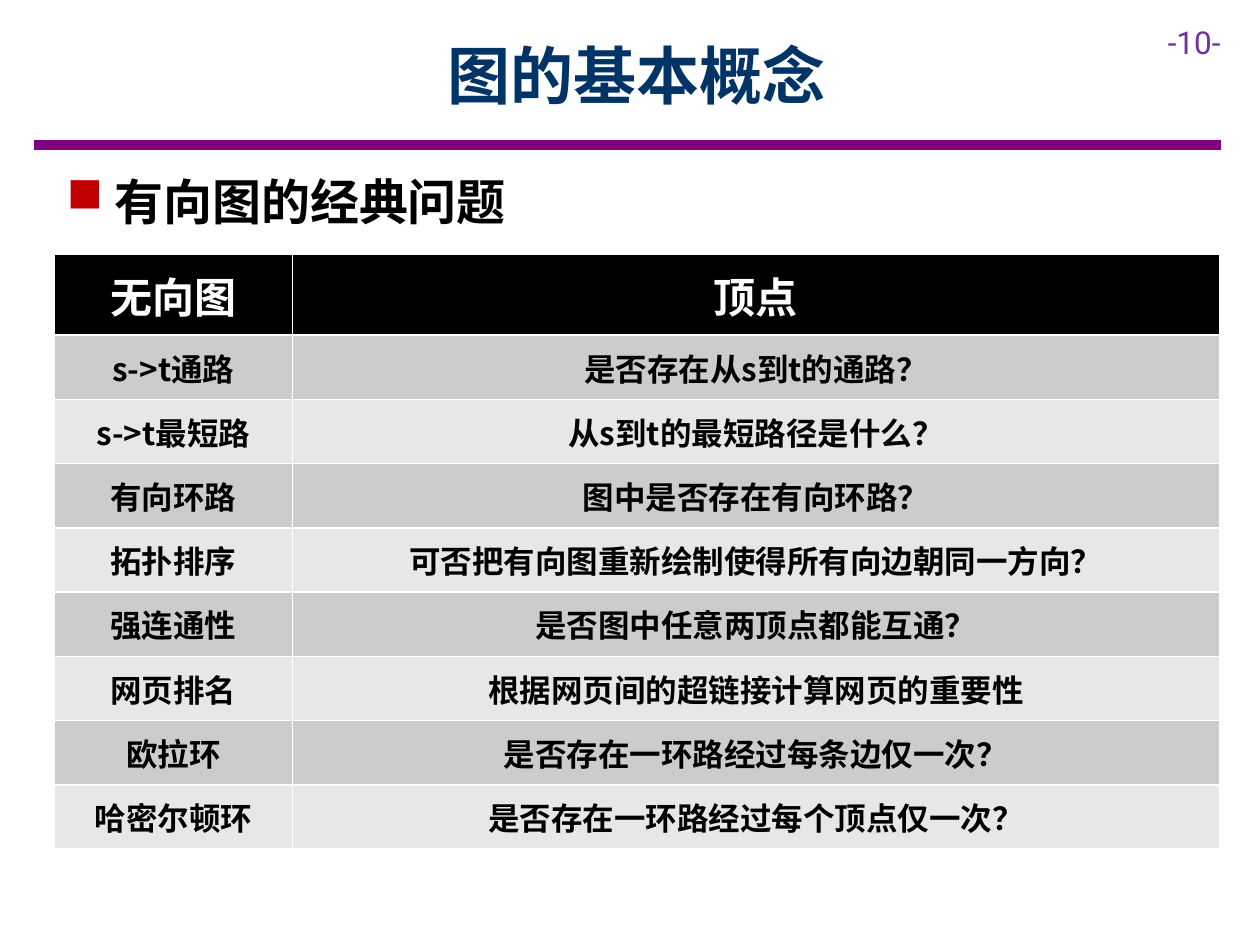
import pptx
import pptx.util
import pptx.dml.color
import pptx.enum.shapes
import pptx.enum.text
import pptx.oxml
import pptx.oxml.ns
from lxml import etree

Inches, Pt = pptx.util.Inches, pptx.util.Pt
RGB = pptx.dml.color.RGBColor
ALIGN = pptx.enum.text.PP_ALIGN
MIDDLE = pptx.enum.text.MSO_ANCHOR.MIDDLE
qn = pptx.oxml.ns.qn

NAVY = RGB(0x00, 0x33, 0x66)
PURPLE = RGB(0x80, 0x00, 0x80)
VIOLET = RGB(0x70, 0x30, 0xA0)
BLACK = RGB(0x00, 0x00, 0x00)
WHITE = RGB(0xFF, 0xFF, 0xFF)
BANDS = [RGB(0xCC, 0xCC, 0xCC), RGB(0xE7, 0xE7, 0xE7)]
CJK = "Noto Sans CJK SC"


def write(tf, text, size=18, color=BLACK, font=CJK, bold=True, align=ALIGN.CENTER):
    """Put one formatted paragraph in a text frame and return it."""
    p = tf.paragraphs[0]
    p.alignment = align
    r = p.add_run()
    r.text = text
    r.font.size, r.font.bold, r.font.name = Pt(size), bold, font
    r.font.color.rgb = color
    etree.SubElement(r.font._element, qn("a:ea")).set("typeface", font)
    return p


prs = pptx.Presentation()
prs.slide_width, prs.slide_height = Inches(10), Inches(7.5)
s = prs.slides.add_slide(prs.slide_layouts[5])

# Rule under the title
rule = s.shapes.add_connector(pptx.enum.shapes.MSO_CONNECTOR.STRAIGHT,
                              Inches(0.27), Inches(1.15), Inches(9.69), Inches(1.15))
rule.line.color.rgb = PURPLE
rule.line.width = Pt(6)
etree.SubElement(rule._element.spPr, qn("a:effectLst"))

# Page number
page = s.shapes.add_textbox(Inches(9.17), Inches(0.13), Inches(0.83), Inches(0.4))
page.text_frame.word_wrap = True
write(page.text_frame, "-10-", color=VIOLET, font="Roboto", bold=False, align=ALIGN.LEFT)

# Title
title = s.shapes.title
title.left, title.top = Inches(0.9), Inches(0.09)
title.width, title.height = Inches(8.31), Inches(1)
title.text_frame.vertical_anchor = MIDDLE
write(title.text_frame, "图的基本概念", size=36, color=NAVY)

# Bulleted heading
heading = s.shapes.add_textbox(Inches(0.43), Inches(1.31), Inches(5.67), Inches(0.57))
heading.text_frame.word_wrap = True
p = write(heading.text_frame, "有向图的经典问题", size=28, align=ALIGN.LEFT)
p.space_after = Pt(3)
pPr = p._p.get_or_add_pPr()
pPr.set("marL", str(Inches(0.38)))
pPr.set("indent", str(-Inches(0.38)))
bullet_color = etree.SubElement(pPr, qn("a:buClr"))
etree.SubElement(bullet_color, qn("a:srgbClr")).set("val", "C00000")
etree.SubElement(pPr, qn("a:buChar")).set("char", "■")

# Table of problems: dark header, two alternating bands
rows = [
    ("无向图", "顶点"),
    ("s->t通路", "是否存在从s到t的通路？"),
    ("s->t最短路", "从s到t的最短路径是什么？"),
    ("有向环路", "图中是否存在有向环路？"),
    ("拓扑排序", "可否把有向图重新绘制使得所有向边朝同一方向？"),
    ("强连通性", "是否图中任意两顶点都能互通？"),
    ("网页排名", "根据网页间的超链接计算网页的重要性"),
    ("欧拉环", "是否存在一环路经过每条边仅一次？"),
    ("哈密尔顿环", "是否存在一环路经过每个顶点仅一次？"),
]
table = s.shapes.add_table(len(rows), 2, Inches(0.43), Inches(2.02),
                           Inches(9.25), Inches(4.72)).table
table.columns[0].width, table.columns[1].width = Inches(1.89), Inches(7.36)
for i, texts in enumerate(rows):
    header = i == 0
    table.rows[i].height = Inches(0.64 if header else 0.51)
    for j, text in enumerate(texts):
        cell = table.cell(i, j)
        cell.vertical_anchor = MIDDLE
        cell.fill.solid()
        cell.fill.fore_color.rgb = BLACK if header else BANDS[(i - 1) % 2]
        write(cell.text_frame, text, size=24 if header else 18,
              color=WHITE if header else BLACK)

prs.save("out.pptx")
